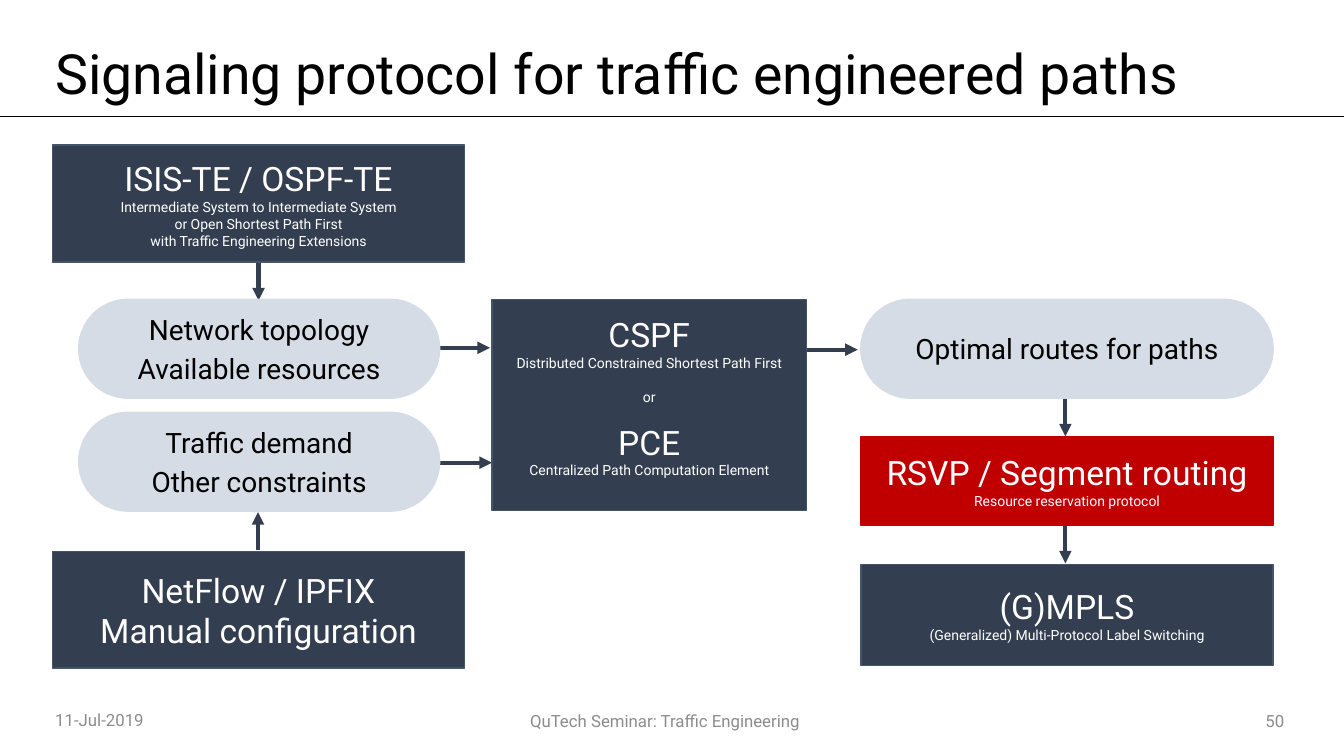
from lxml import etree
from pptx import Presentation
from pptx.dml.color import RGBColor
from pptx.enum import shapes, text
from pptx.oxml import ns
from pptx.util import Pt

NAVY, EDGE, RED, PALE = "333F50", "44546A", "C00000", "D6DCE5"
WHITE, BLACK, GREY = "FFFFFF", "000000", "8C8C8C"
LEFT, MID, RIGHT = text.PP_ALIGN.LEFT, text.PP_ALIGN.CENTER, text.PP_ALIGN.RIGHT
RECT, PILL = shapes.MSO_SHAPE.RECTANGLE, shapes.MSO_SHAPE.ROUNDED_RECTANGLE

deck = Presentation()
deck.slide_width, deck.slide_height = Pt(960), Pt(540)
slide = deck.slides.add_slide(deck.slide_layouts[6])


def write(shape, lines, color, align):
    """Fill a shape with lines of (words, size, space before)."""
    frame = shape.text_frame
    frame.word_wrap = True
    frame.vertical_anchor = text.MSO_ANCHOR.MIDDLE
    for i, (words, size, gap) in enumerate(lines):
        para = frame.paragraphs[0] if i == 0 else frame.add_paragraph()
        para.alignment = align
        para.space_before = Pt(gap)
        run = para.add_run()
        run.text = words
        for key, value in {"name": "Roboto", "size": Pt(size)}.items():
            setattr(run.font, key, value)
        run.font.color.rgb = RGBColor.from_string(color)


def link(x1, y1, x2, y2, color=NAVY, width=3, arrow=True):
    line = slide.shapes.add_connector(
        shapes.MSO_CONNECTOR.STRAIGHT, Pt(x1), Pt(y1), Pt(x2), Pt(y2))
    line.line.color.rgb = RGBColor.from_string(color)
    line.line.width = Pt(width)
    if arrow:
        tip = etree.SubElement(line.line._get_or_add_ln(), ns.qn("a:tailEnd"))
        tip.set("type", "triangle")
    etree.SubElement(line._element.spPr, ns.qn("a:effectLst"))


# Title, rule and footer
link(0, 83, 960, 83, BLACK, 0.5, False)
labels = [
    (32.4, 26, 892, 58, "Signaling protocol for traffic engineered paths", 39.6, BLACK, LEFT),
    (139, 500.4, 672, 28.8, "QuTech Seminar: Traffic Engineering", 12, GREY, MID),
    (820.8, 500.4, 103.7, 28.8, "50", 12, GREY, RIGHT),
    (32.4, 499.7, 98.6, 28.8, "11-Jul-2019", 12, GREY, LEFT),
]
for x, y, w, h, words, size, color, align in labels:
    box = slide.shapes.add_textbox(Pt(x), Pt(y), Pt(w), Pt(h))
    write(box, [(words, size, 0)], color, align)
    box.text_frame.paragraphs[0].line_spacing = 0.9 if size > 12 else 1.0

# Arrows
arrows = [
    (313.2, 248.4, 350, 248.4), (314.6, 330.5, 351.4, 330.5),
    (576, 249.8, 612.7, 249.8), (761, 284.4, 761, 311.8),
    (761, 375.1, 761, 402.5), (184.7, 187.2, 184.7, 214.6),
    (184.3, 393.1, 184.3, 365.8),
]
for ends in arrows:
    link(*ends)

# Protocol boxes and the data pills between them
COL1, COL3, WIDE = 37.4, 614.9, 294.5
TOP, TALL = 213.8, 70.6
nodes = [
    (RECT, COL3, 311.8, WIDE, 63.4, RED, RED, 0,
     [("RSVP / Segment routing", 24, 0), ("Resource reservation protocol", 10, 0)]),
    (RECT, COL1, 103.7, WIDE, 83.5, NAVY, EDGE, 0,
     [("ISIS-TE / OSPF-TE", 24, 0),
      ("Intermediate System to Intermediate System", 10, 0),
      ("or Open Shortest Path First", 10, 0),
      ("with Traffic Engineering Extensions", 10, 0)]),
    (PILL, 56.2, TOP, 257.8, TALL, PALE, PALE, 0,
     [("Network topology", 20, 0), ("Available resources", 20, 4)]),
    (PILL, 56.2, 294.5, 257.8, TALL, PALE, PALE, 0,
     [("Traffic demand", 20, 0), ("Other constraints", 20, 4)]),
    (PILL, COL3, TOP, WIDE, TALL, PALE, PALE, 0,
     [("Optimal routes for paths", 20, 0)]),
    (RECT, COL1, 393.8, WIDE, 83.5, NAVY, EDGE, 0,
     [("NetFlow / IPFIX", 24, 0), ("Manual configuration", 24, 0)]),
    (RECT, 351.4, TOP, 224.6, 150.8, NAVY, EDGE, 12,
     [("CSPF", 24, 0), ("Distributed Constrained Shortest Path First", 10, 0),
      ("or", 10, 12), ("PCE", 24, 12),
      ("Centralized Path Computation Element", 10, 0)]),
    (RECT, COL3, 403.2, WIDE, 72, NAVY, EDGE, 0,
     [("(G)MPLS", 24, 0), ("(Generalized) Multi-Protocol Label Switching", 10, 0)]),
]
for kind, x, y, w, h, fill, edge, foot, lines in nodes:
    node = slide.shapes.add_shape(kind, Pt(x), Pt(y), Pt(w), Pt(h))
    node.shadow.inherit = False
    node.fill.solid()
    node.fill.fore_color.rgb = RGBColor.from_string(fill)
    node.line.color.rgb = RGBColor.from_string(edge)
    node.line.width = Pt(1)
    if kind == PILL:
        node.adjustments[0] = 0.5
    frame = node.text_frame
    for side in ("left", "top", "right"):
        setattr(frame, "margin_" + side, 0)
    frame.margin_bottom = Pt(foot)
    write(node, lines, BLACK if kind == PILL else WHITE, MID)

deck.save("out.pptx")
